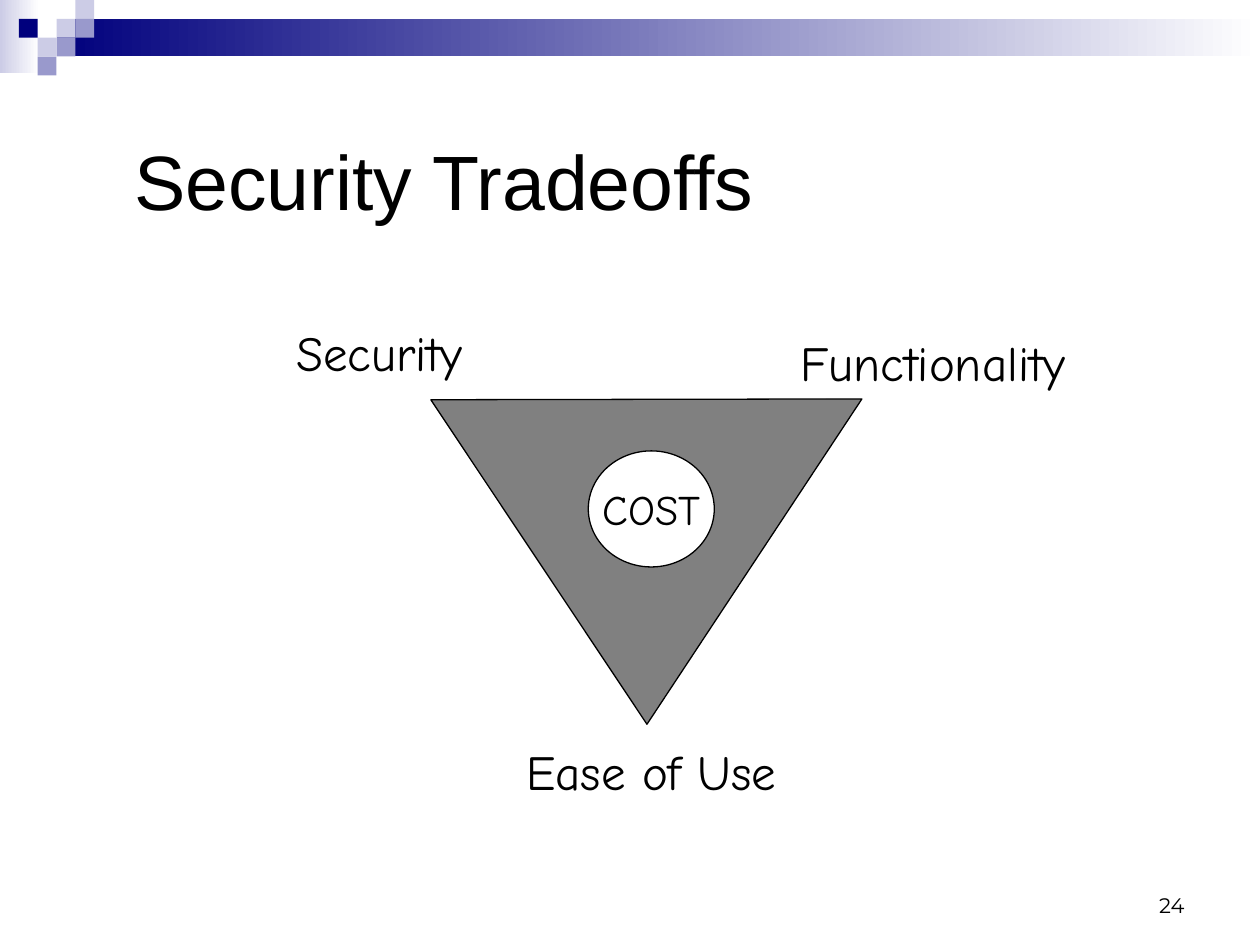
from pptx import Presentation
from pptx.dml.color import RGBColor
from pptx.enum.shapes import MSO_SHAPE
from pptx.enum.text import MSO_ANCHOR, PP_ALIGN
from pptx.util import Cm, Pt

THEME = {
    "navy": RGBColor.from_string("00007D"),
    "violet": RGBColor.from_string("9999CC"),
    "lilac": RGBColor.from_string("CCCCE6"),
    "white": RGBColor.from_string("FFFFFF"),
    "gray": RGBColor.from_string("808080"),
    "ink": RGBColor.from_string("000000"),
    "title": ("Arial", Pt(44)),
    "corner": ("Comic Neue", Pt(28)),
    "cost": ("Comic Neue", Pt(24)),
    "number": ("Montserrat", Pt(12)),
    "outline": Pt(0.75),
}

TILE = 0.38
BANDS = [
    ("lilac", (0, 0, 0.79, 1.47)),
    ("navy", (3 * TILE, TILE, 25.4 - 3 * TILE, 2 * TILE)),
]
TILES = [
    ("lilac", 3, 1),
    ("lilac", 4, 0),
    ("violet", 4, 1),
    ("lilac", 2, 2),
    ("navy", 1, 1),
    ("violet", 3, 2),
    ("violet", 2, 3),
]

TRIANGLE = (8.69, 8.05, 8.69, 6.55)
COST_CIRCLE = (11.86, 9.09, 2.54, 2.34)
CORNER = {"word_wrap": False}
LABELS = [
    ("24", "number", (18.21, 17.35, 5.92, 1.27), PP_ALIGN.RIGHT,
     {"word_wrap": True, "vertical_anchor": MSO_ANCHOR.BOTTOM}),
    ("Security Tradeoffs", "title", (2.46, 2.03, 20.5, 3.18), PP_ALIGN.LEFT,
     {"word_wrap": True, "vertical_anchor": MSO_ANCHOR.MIDDLE}),
    ("Security", "corner", (5.72, 6.38, 4.5, 1.45), PP_ALIGN.LEFT, CORNER),
    ("Functionality", "corner", (15.88, 6.58, 6.48, 1.45), PP_ALIGN.LEFT, CORNER),
    ("Ease of Use", "corner", (10.36, 14.83, 6.02, 1.45), PP_ALIGN.LEFT, CORNER),
]


def place(box):
    return [Cm(length) for length in box]


def write(holder, text, style, align, frame_format):
    frame = holder.text_frame
    for attribute, value in frame_format.items():
        setattr(frame, attribute, value)
    paragraph = frame.paragraphs[0]
    paragraph.alignment = align
    run = paragraph.add_run()
    run.text = text
    name, size = THEME[style]
    for attribute, value in {"name": name, "size": size}.items():
        setattr(run.font, attribute, value)
    run.font.color.rgb = THEME["ink"]


def add_figure(slide, preset, box, color, outlined=False, fade=False):
    figure = slide.shapes.add_shape(preset, *place(box))
    figure.shadow.inherit = False
    if fade:
        figure.fill.gradient()
        figure.fill.gradient_angle = 0
        for stop, shade in zip(figure.fill.gradient_stops, (color, "white")):
            stop.color.rgb = THEME[shade]
    else:
        figure.fill.solid()
        figure.fill.fore_color.rgb = THEME[color]
    if outlined:
        figure.line.color.rgb = THEME["ink"]
        figure.line.width = THEME["outline"]
    else:
        figure.line.fill.background()
    return figure


def main():
    deck = Presentation()
    deck.slide_width, deck.slide_height = Cm(25.4), Cm(19.05)
    slide = deck.slides.add_slide(deck.slide_layouts[6])

    for color, box in BANDS:
        add_figure(slide, MSO_SHAPE.RECTANGLE, box, color, fade=True)
    for color, column, row in TILES:
        box = (column * TILE, row * TILE, TILE, TILE)
        add_figure(slide, MSO_SHAPE.RECTANGLE, box, color)

    triangle = add_figure(
        slide, MSO_SHAPE.ISOSCELES_TRIANGLE, TRIANGLE, "gray", outlined=True)
    triangle.rotation = 179.9
    cost = add_figure(slide, MSO_SHAPE.OVAL, COST_CIRCLE, "white", outlined=True)
    write(cost, "COST", "cost", PP_ALIGN.CENTER,
          {"word_wrap": False, "vertical_anchor": MSO_ANCHOR.MIDDLE})

    for text, style, box, align, frame_format in LABELS:
        label = slide.shapes.add_textbox(*place(box))
        write(label, text, style, align, frame_format)

    deck.save("out.pptx")


if __name__ == "__main__":
    main()
